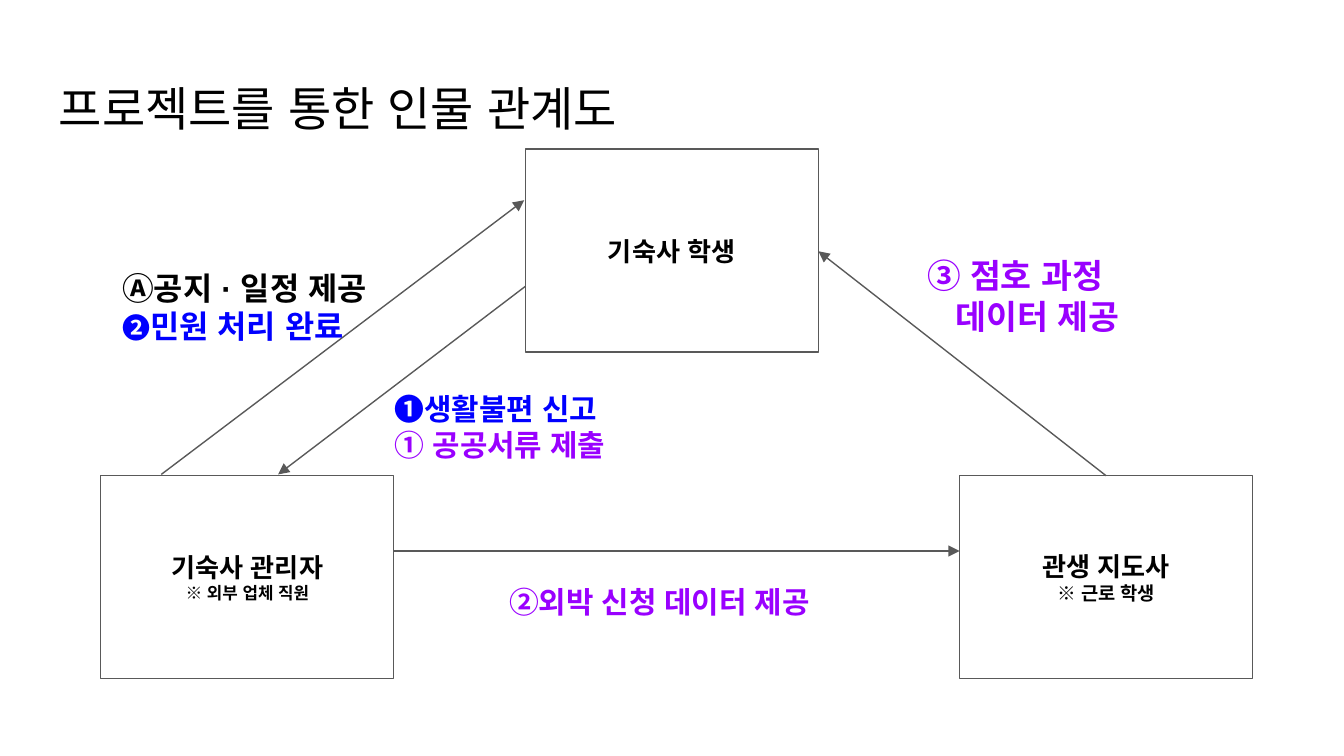
import pptx
import pptx.util
import pptx.dml.color
import pptx.enum.shapes
import pptx.enum.text
import pptx.oxml.ns
import lxml.etree

Inches = pptx.util.Inches
Pt = pptx.util.Pt
RGBColor = pptx.dml.color.RGBColor
qn = pptx.oxml.ns.qn

BLACK = RGBColor(0x00, 0x00, 0x00)
GRAY = RGBColor(0x59, 0x59, 0x59)
BLUE = RGBColor(0x00, 0x00, 0xFF)
PURPLE = RGBColor(0x99, 0x00, 0xFF)
FONT = "Arial"
BOX_W, BOX_H = 2.18, 1.51
LOWER_Y = 3.54


def write_lines(tf, lines, bold=True, align=pptx.enum.text.PP_ALIGN.LEFT):
    """Fill a text frame with lines, each a list of (text, size, colour) runs."""
    tf.word_wrap = True
    tf.margin_left = tf.margin_right = Inches(0.1)
    tf.margin_top = tf.margin_bottom = Inches(0.1)
    for i, line in enumerate(lines):
        p = tf.paragraphs[0] if i == 0 else tf.add_paragraph()
        p.alignment = align
        for text, size, color in line:
            r = p.add_run()
            r.text = text
            r.font.size = Pt(size)
            r.font.bold = bold
            r.font.color.rgb = color
            r.font.name = FONT
            lxml.etree.SubElement(r.font._element, qn("a:ea")).set("typeface", FONT)


def add_label(s, x, y, w, h, lines, bold=True):
    """Add a text box at the given place and return its text frame."""
    tf = s.shapes.add_textbox(Inches(x), Inches(y), Inches(w), Inches(h)).text_frame
    write_lines(tf, lines, bold)
    return tf


def add_person(s, x, y, lines):
    """Add an outlined box that names one person."""
    sp = s.shapes.add_shape(
        pptx.enum.shapes.MSO_SHAPE.RECTANGLE,
        Inches(x), Inches(y), Inches(BOX_W), Inches(BOX_H))
    sp.shadow.inherit = False
    sp.fill.background()
    sp.line.color.rgb = GRAY
    sp.line.width = Pt(0.75)
    sp.text_frame.vertical_anchor = pptx.enum.text.MSO_ANCHOR.MIDDLE
    runs = [[(text, size, BLACK)] for text, size in lines]
    write_lines(sp.text_frame, runs, align=pptx.enum.text.PP_ALIGN.CENTER)


def add_arrow(s, x1, y1, x2, y2):
    """Add a straight line with an arrowhead at its end."""
    c = s.shapes.add_connector(
        pptx.enum.shapes.MSO_CONNECTOR.STRAIGHT,
        Inches(x1), Inches(y1), Inches(x2), Inches(y2))
    c.line.color.rgb = GRAY
    c.line.width = Pt(0.75)
    lxml.etree.SubElement(c.line._get_or_add_ln(), qn("a:tailEnd")).set("type", "triangle")
    lxml.etree.SubElement(c._element.spPr, qn("a:effectLst"))


def add_people(s, student_x, manager_x, tutor_x):
    """Place the three people of the diagram."""
    add_person(s, student_x, 1.11, [("기숙사 학생", 14)])
    add_person(s, manager_x, LOWER_Y, [("기숙사 관리자", 14), ("※ 외부 업체 직원", 9)])
    add_person(s, tutor_x, LOWER_Y, [("관생 지도사", 14), ("※ 근로 학생", 10)])


def add_relations(s, student_x, manager_x, tutor_x):
    """Connect the people and label each connection."""
    add_arrow(s, manager_x + 0.45, 3.53, student_x - 0.01, 1.49)
    add_arrow(s, student_x, 2.13, manager_x + 1.32, 3.53)
    add_arrow(s, tutor_x + BOX_W / 2, LOWER_Y, student_x + BOX_W, 1.87)
    add_arrow(s, manager_x + BOX_W, 4.1, tutor_x, 4.1)

    add_label(s, 0.81, 1.9, 2.29, 0.86, [
        [("Ⓐ공지 · 일정 제공", 17, BLACK)],
        [("❷", 15, BLUE), ("민원 처리 완료", 17, BLUE)]])
    add_label(s, 2.84, 2.81, 2.29, 0.72, [
        [("❶생활불편 신고", 16, BLUE)],
        [("① 공공서류 제출", 16, PURPLE)]])
    tf = add_label(s, 6.8, 1.8, 1.89, 0.83, [
        [("③ 점호 과정", 18, PURPLE)],
        [("데이터 제공", 18, PURPLE)]])
    tf.paragraphs[1]._p.get_or_add_pPr().set("marL", str(Inches(0.21)))
    add_label(s, 3.69, 4.24, 2.85, 0.63, [[("②외박 신청 데이터 제공", 16, PURPLE)]])


def main():
    """Build the slide and save it."""
    prs = pptx.Presentation()
    prs.slide_width = Inches(10)
    prs.slide_height = prs.slide_width * 9 // 16
    s = prs.slides.add_slide(prs.slide_layouts[6])
    add_label(s, 0.34, 0.49, 9.32, 0.63,
              [[("프로젝트를 통한 인물 관계도", 25.2, BLACK)]], bold=False)
    columns = (3.91, 0.75, 7.14)
    add_people(s, *columns)
    add_relations(s, *columns)
    prs.save("out.pptx")


if __name__ == "__main__":
    main()
